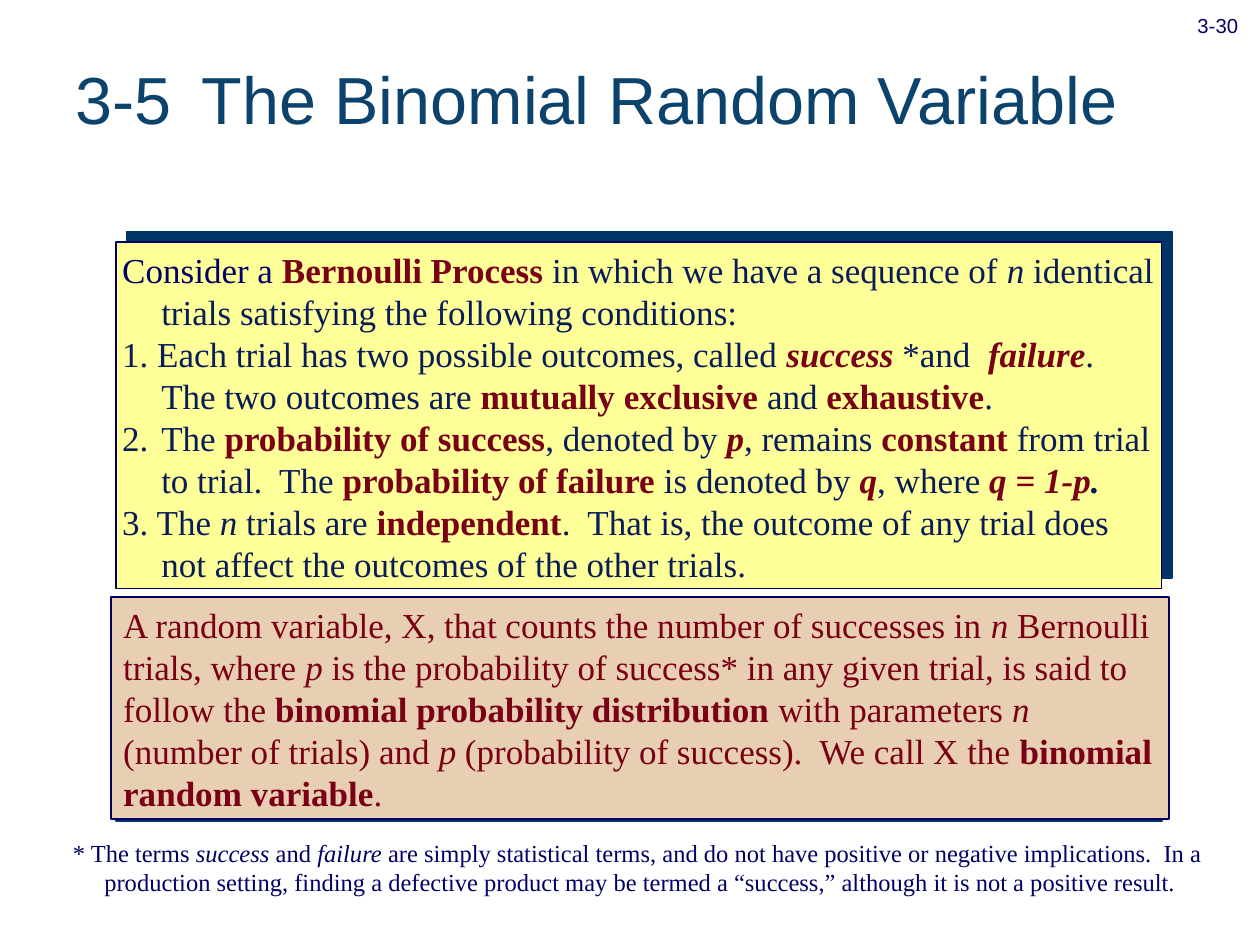
from dataclasses import dataclass
from typing import NamedTuple

from lxml.etree import SubElement
from pptx import Presentation
from pptx.dml.color import RGBColor
from pptx.enum.shapes import MSO_SHAPE as Shape
from pptx.enum.text import MSO_ANCHOR as Anchor, MSO_AUTO_SIZE as AutoSize, PP_ALIGN as Align
from pptx.oxml.ns import qn
from pptx.util import Inches, Pt

NAVY = RGBColor(0x00, 0x00, 0x66)
INK = RGBColor(0x08, 0x1D, 0x58)
MAROON = RGBColor(0x79, 0x00, 0x15)
TITLE_BLUE = RGBColor(0x0C, 0x43, 0x6C)
YELLOW = RGBColor(0xFF, 0xFF, 0x99)
STEEL = RGBColor(0x33, 0x66, 0x99)
TAN = RGBColor(0xE8, 0xCE, 0xB2)
SHADOW = RGBColor(0x00, 0x33, 0x66)
SERIF, SANS = "Times New Roman", "Arial"


class Span(NamedTuple):
    text: str
    color: RGBColor = INK
    bold: bool = False
    italic: bool = False


class Area(NamedTuple):
    left: float
    top: float
    width: float
    height: float


@dataclass
class Panel:
    area: Area
    fill: RGBColor
    shadow: tuple[float, int] | None = None  # distance in points, angle in degrees


def term(text: str, italic: bool = False) -> Span:
    return Span(text, MAROON, True, italic)


def variable(text: str, color: RGBColor = INK) -> Span:
    return Span(text, color, italic=True)


def place(shape, area: Area) -> None:
    shape.left, shape.top, shape.width, shape.height = map(Inches, area)


def add_panel(page, panel: Panel):
    box = page.shapes.add_shape(Shape.RECTANGLE, *map(Inches, panel.area))
    box.shadow.inherit = False
    box.fill.solid()
    box.fill.fore_color.rgb = panel.fill
    box.line.color.rgb = NAVY
    box.line.width = Pt(1)
    if panel.shadow:
        distance, angle = panel.shadow
        effects = box._element.spPr.find(qn("a:effectLst"))
        shadow = SubElement(effects, qn("a:outerShdw"), dist=str(Pt(distance)),
                            dir=str(angle * 60000), algn="ctr", rotWithShape="0")
        SubElement(shadow, qn("a:srgbClr"), val=str(SHADOW))
    return box


def add_text_box(page, area: Area):
    return page.shapes.add_textbox(*map(Inches, area))


def write(box, paragraphs: list[list[Span]], size: float, font: str = SERIF,
          hanging: float = 0, anchor: Anchor = Anchor.TOP) -> None:
    frame = box.text_frame
    frame.word_wrap = True
    frame.auto_size = AutoSize.NONE
    frame.vertical_anchor = anchor
    for index, spans in enumerate(paragraphs):
        para = frame.paragraphs[0] if index == 0 else frame.add_paragraph()
        para.alignment = Align.LEFT
        para.space_before = Pt(0)
        properties = para._p.get_or_add_pPr()
        properties.set("marL", str(Inches(hanging)))
        properties.set("indent", str(-Inches(hanging)))
        SubElement(properties, qn("a:buNone"))
        for span in spans:
            run = para.add_run()
            run.text = span.text
            run.font.name = font
            run.font.size = Pt(size)
            run.font.bold = span.bold
            run.font.italic = span.italic
            run.font.color.rgb = span.color


def add_tab_stop(para, position: float) -> None:
    tabs = SubElement(para._p.get_or_add_pPr(), qn("a:tabLst"))
    SubElement(tabs, qn("a:tab"), pos=str(Inches(position)), algn="l")


CONDITIONS = [
    [Span("Consider a", NAVY), term(" Bernoulli Process "),
     Span("in which we have a sequence of "), variable("n"),
     Span(" identical trials satisfying the following conditions:")],
    [Span("1. Each trial has two possible outcomes, called "), term("success", True),
     Span(" *and  "), term("failure", True), Span(".  The two outcomes are "),
     term("mutually exclusive"), Span(" and"), term(" exhaustive"), Span(".")],
    [Span("2.\tThe "), term("probability of success"), Span(", denoted by "),
     term("p", True), Span(", remains "), term("constant"),
     Span(" from trial to trial.  The "), term("probability of failure "),
     Span("is denoted by "), term("q", True), Span(", where "), term("q = 1-p", True),
     Span(".", INK, True, True)],
    [Span("3. The "), variable("n"), Span(" trials are "), term("independent"),
     Span(".  That is, the outcome of any trial does not affect the outcomes "
          "of the other trials.")],
]
DEFINITION = [
    Span("A random variable, X, that counts the number of successes in ", MAROON),
    variable("n", MAROON), Span(" Bernoulli trials, where ", MAROON), variable("p", MAROON),
    Span(" is the probability of success* in any given trial, is said to follow the ", MAROON),
    term("binomial probability distribution"), Span(" with parameters ", MAROON),
    variable("n", MAROON), Span(" (number of trials) and ", MAROON), variable("p", MAROON),
    Span(" (probability of success).  We call X the ", MAROON),
    term("binomial random variable"), Span(".", MAROON),
]
FOOTNOTE = [
    Span("* The terms ", NAVY), variable("success", NAVY), Span(" and ", NAVY),
    variable("failure", NAVY),
    Span(" are simply statistical terms, and do not have positive or negative "
         "implications.  In a production setting, finding a defective product may be "
         "termed a “success,” although it is not a positive result.", NAVY),
]


def main() -> None:
    deck = Presentation()
    deck.slide_width, deck.slide_height = Inches(10), Inches(7.5)
    page = deck.slides.add_slide(deck.slide_layouts[1])

    title = page.shapes.title
    place(title, Area(0.5, 0.15, 9.27, 1.25))
    write(title, [[Span("3-5\tThe Binomial Random Variable", TITLE_BLUE)]], 38, SANS,
          anchor=Anchor.MIDDLE)
    add_tab_stop(title.text_frame.paragraphs[0], 1.18)

    add_panel(page, Panel(Area(0.92, 1.92, 8.3, 2.75), YELLOW, (8.5, 315)))
    conditions = page.placeholders[1]
    page.shapes._spTree.append(conditions._element)  # bring in front of its panel
    place(conditions, Area(0.87, 1.92, 8.4, 2.76))
    write(conditions, CONDITIONS, 20, hanging=0.31)

    add_panel(page, Panel(Area(0.91, 4.75, 8.3, 1.75), STEEL, (1.4, 45)))
    definition = add_panel(page, Panel(Area(0.88, 4.74, 8.4, 1.76), TAN))
    write(definition, [DEFINITION], 20)

    footnote = add_text_box(page, Area(0.48, 6.6, 9.44, 0.56))
    write(footnote, [FOOTNOTE], 14, hanging=0.25)

    number = add_text_box(page, Area(9.29, -0.13, 0.75, 0.48))
    write(number, [[Span("3-30", NAVY)]], 20, SANS)
    para = number.text_frame.paragraphs[0]
    para.alignment = Align.CENTER
    para.runs[0].font._element.set("baseline", "-25000")

    deck.save("out.pptx")


if __name__ == "__main__":
    main()
